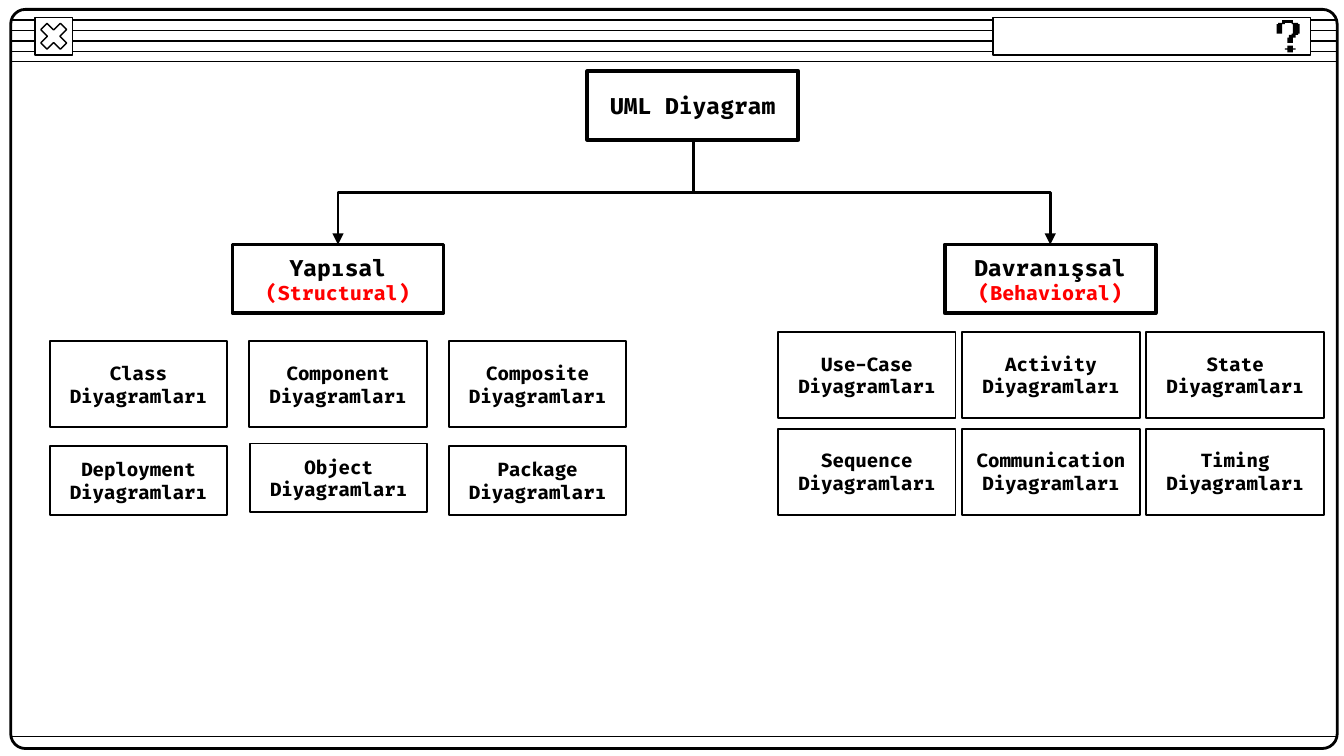
from dataclasses import dataclass

from lxml import etree
from pptx import Presentation
from pptx.dml.color import RGBColor
from pptx.enum.shapes import MSO_CONNECTOR, MSO_SHAPE
from pptx.enum.text import MSO_ANCHOR, MSO_AUTO_SIZE, PP_ALIGN
from pptx.oxml.ns import qn
from pptx.util import Inches, Pt

RECT = MSO_SHAPE.RECTANGLE
ROUNDED = MSO_SHAPE.ROUNDED_RECTANGLE
CROSS = MSO_SHAPE.MATH_MULTIPLY
STRAIGHT = MSO_CONNECTOR.STRAIGHT
ELBOW = MSO_CONNECTOR.ELBOW
MIDDLE = MSO_ANCHOR.MIDDLE
CENTER = PP_ALIGN.CENTER
NO_AUTOFIT = MSO_AUTO_SIZE.NONE


@dataclass(frozen=True)
class Theme:
    font: str = "Fira Code"
    ink: RGBColor = RGBColor(0, 0, 0)
    paper: RGBColor = RGBColor(255, 255, 255)
    accent: RGBColor = RGBColor(255, 0, 0)
    heading: float = 12
    subheading: float = 10.5
    body: float = 10
    thin: float = 0.75
    box: float = 1
    arrow: float = 1.5
    bold_box: float = 2


THEME = Theme()
FRAME_LEFT, FRAME_RIGHT = 0.08, 9.95
HEAD_W, HEAD_H = 1.57, 0.51
CARD_W = 1.32

MARK_DOT = [
    (958, 34), (958, 36), (956, 36), (956, 37), (958, 37), (958, 39),
    (962, 39), (962, 37), (964, 37), (964, 36), (962, 36), (962, 34),
]
MARK_HOOK = [
    (954, 15), (954, 17), (951, 17), (951, 18), (950, 18), (950, 25),
    (954, 25), (954, 18), (956, 18), (956, 17), (961, 17), (961, 18),
    (962, 18), (962, 25), (961, 25), (961, 26), (959, 26), (959, 28),
    (958, 28), (958, 32), (962, 32), (962, 28), (964, 28), (964, 26),
    (966, 26), (966, 25), (967, 25), (967, 18), (966, 18), (966, 17),
    (962, 17), (962, 15),
]


def place(sp, x, y, w, h):
    sp.left, sp.top, sp.width, sp.height = (Inches(v) for v in (x, y, w, h))


def outline(sp, width):
    sp.line.color.rgb = THEME.ink
    sp.line.width = Pt(width)


def add_box(s, kind, x, y, w, h, width, fill=None):
    sp = s.shapes.add_shape(kind, Inches(x), Inches(y), Inches(w), Inches(h))
    sp.shadow.inherit = False
    if fill is None:
        sp.fill.background()
    else:
        sp.fill.solid()
        sp.fill.fore_color.rgb = fill
    outline(sp, width)
    return sp


def write(sp, lines):
    tf = sp.text_frame
    tf.text = "\n".join(text for text, _, _ in lines)
    tf.word_wrap = True
    tf.auto_size = NO_AUTOFIT
    tf.vertical_anchor = MIDDLE
    for p, (_, size, color) in zip(tf.paragraphs, lines):
        p.alignment = CENTER
        font = p.runs[0].font
        font.name, font.size, font.bold = THEME.font, Pt(size), True
        font.color.rgb = color


def add_line(s, kind, x1, y1, x2, y2, width):
    c = s.shapes.add_connector(kind, Inches(x1), Inches(y1), Inches(x2), Inches(y2))
    outline(c, width)
    etree.SubElement(c._element.spPr, qn("a:effectLst"))
    return c


def add_branch(s, x1, y1, x2, y2):
    mid_x, mid_y = (x1 + x2) / 2, (y1 + y2) / 2
    half_span, half_drop = abs(x2 - x1) / 2, (y2 - y1) / 2
    side = 1 if x2 > x1 else -1
    c = add_line(s, ELBOW, mid_x + side * half_drop, mid_y - half_span,
                 mid_x - side * half_drop, mid_y + half_span, THEME.arrow)
    turn = 270 if side > 0 else 90
    c._element.spPr.find(qn("a:xfrm")).set("rot", str(turn * 60000))
    ln = c._element.spPr.find(qn("a:ln"))
    etree.SubElement(ln, qn("a:tailEnd"), type="triangle")


def add_glyph(s, points):
    fb = s.shapes.build_freeform(*points[0], scale=Inches(0.01))
    fb.add_line_segments(points[1:], close=True)
    sp = fb.convert_to_shape()
    sp.shadow.inherit = False
    sp.fill.solid()
    sp.fill.fore_color.rgb = THEME.ink
    sp.line.fill.background()


def add_window(s):
    for i in range(5):
        y = 0.15 + i * 0.31 / 4
        add_line(s, STRAIGHT, FRAME_LEFT, y, FRAME_RIGHT, y, THEME.thin)
    frame = add_box(s, ROUNDED, FRAME_LEFT, 0.07, FRAME_RIGHT - FRAME_LEFT, 5.5, THEME.arrow)
    frame.adjustments[0] = 0.02
    add_box(s, RECT, 0.26, 0.13, 0.28, 0.28, THEME.thin, THEME.paper)
    cross = add_box(s, CROSS, 0.26, 0.13, 0.28, 0.28, THEME.thin, THEME.paper)
    cross.adjustments[0] = 0.235
    add_line(s, STRAIGHT, FRAME_LEFT, 5.48, FRAME_RIGHT, 5.48, THEME.thin)
    add_box(s, RECT, 7.39, 0.13, 2.36, 0.28, THEME.thin, THEME.paper)
    add_glyph(s, MARK_DOT)
    add_glyph(s, MARK_HOOK)


def add_title(s, text, x, y):
    title = s.shapes.title
    place(title, x, y, HEAD_W, HEAD_H)
    outline(title, THEME.bold_box)
    write(title, [(text, THEME.heading, THEME.ink)])


def add_category(s, name, english, x, y):
    sp = add_box(s, RECT, x, y, HEAD_W, HEAD_H, THEME.bold_box)
    write(sp, [(name, THEME.heading, THEME.ink),
               (f"({english})", THEME.subheading, THEME.accent)])


def add_card_row(s, names, left, pitch, top, height):
    for i, name in enumerate(names):
        sp = add_box(s, RECT, left + i * pitch, top, CARD_W, height, THEME.box)
        write(sp, [(f"{name} Diyagramları", THEME.body, THEME.ink)])


def main():
    prs = Presentation()
    prs.slide_width = Inches(10)
    prs.slide_height = prs.slide_width * 9 // 16
    s = prs.slides.add_slide(prs.slide_layouts[5])

    add_window(s)
    add_title(s, "UML Diyagram", 4.37, 0.53)
    for name, english, x in (("Yapısal", "Structural", 1.73),
                             ("Davranışsal", "Behavioral", 7.03)):
        add_category(s, name, english, x, 1.82)
        add_branch(s, 5.16, 1.04, x + HEAD_W / 2, 1.82)

    add_card_row(s, ["Class", "Component", "Composite"], 0.37, 1.485, 2.54, 0.64)
    add_card_row(s, ["Deployment", "Package"], 0.37, 2.97, 3.32, 0.51)
    add_card_row(s, ["Object"], 1.86, 0, 3.3, 0.51)
    add_card_row(s, ["Use-Case", "Activity", "State"], 5.79, 1.37, 2.47, 0.64)
    add_card_row(s, ["Sequence", "Communication", "Timing"], 5.79, 1.37, 3.19, 0.64)

    prs.save("out.pptx")


if __name__ == "__main__":
    main()
